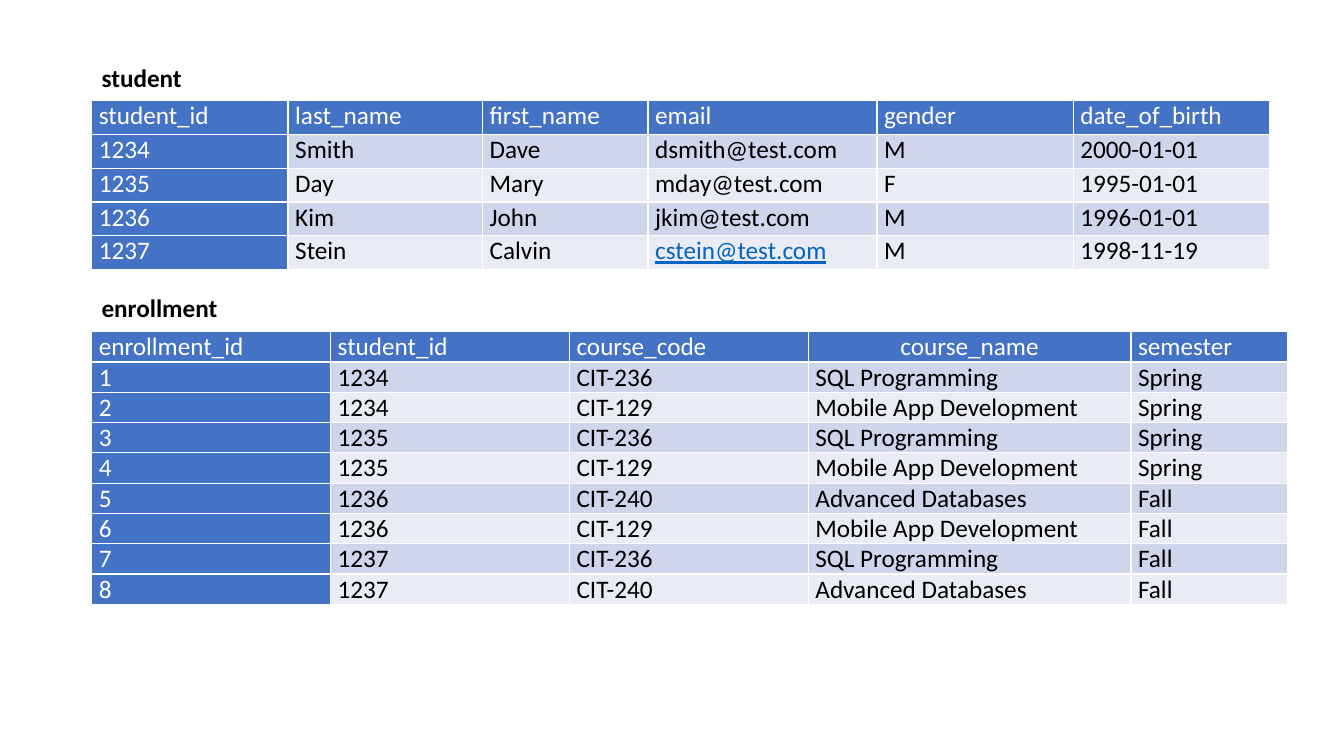
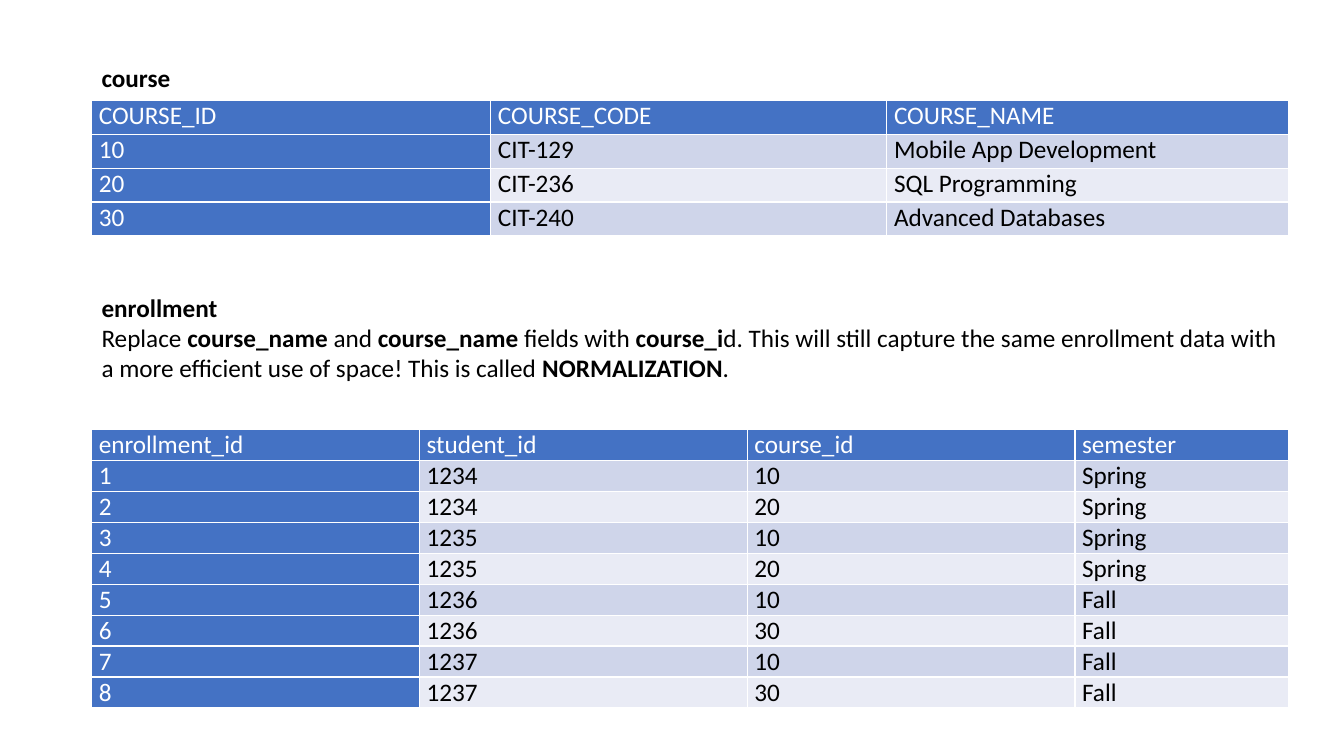
from lxml import etree
from pptx import Presentation
from pptx import util as u
from pptx.dml.color import RGBColor
from pptx.enum import text
from pptx.oxml import ns

BLUE, WHITE, BLACK, LINK = "4472C4", "FFFFFF", "000000", "0563C1"
BANDS = ["CFD5EA", "E9EBF5"]
LEFT = u.Cm(2.31)


def write(frame, content, color=BLACK, bold=False, underline=False, align=text.PP_ALIGN.LEFT):
    for number, line in enumerate(content.split("\n")):
        paragraph = frame.paragraphs[0] if number == 0 else frame.add_paragraph()
        paragraph.alignment = align
        for part, words in enumerate(line.split("*")):
            if words:
                run = paragraph.add_run()
                run.text = words
                run.font.name = "Calibri"
                run.font.size = u.Pt(18)
                run.font.bold = bold or part % 2 == 1
                run.font.underline = underline
                run.font.color.rgb = RGBColor.from_string(color)


def fill_cell(cell, color):
    cell.margin_left = cell.margin_right = u.Cm(0.18)
    cell.margin_top = cell.margin_bottom = 0
    properties = cell._tc.get_or_add_tcPr()
    for side in ("lnL", "lnR", "lnT", "lnB"):
        border = etree.SubElement(properties, ns.qn(f"a:{side}"), w=str(u.Pt(1)))
        paint = etree.SubElement(border, ns.qn("a:solidFill"))
        etree.SubElement(paint, ns.qn("a:srgbClr"), val=WHITE)
    cell.fill.solid()
    cell.fill.fore_color.rgb = RGBColor.from_string(color)


students = [
    ["student_id", "last_name", "first_name", "email", "gender", "date_of_birth"],
    ["1234", "Smith", "Dave", "dsmith@test.com", "M", "2000-01-01"],
    ["1235", "Day", "Mary", "mday@test.com", "F", "1995-01-01"],
    ["1236", "Kim", "John", "jkim@test.com", "M", "1996-01-01"],
    ["1237", "Stein", "Calvin", "cstein@test.com", "M", "1998-11-19"],
]
enrollments = [
    ["enrollment_id", "student_id", "course_code", "course_name", "semester"],
    ["1", "1234", "CIT-236", "SQL Programming", "Spring"],
    ["2", "1234", "CIT-129", "Mobile App Development", "Spring"],
    ["3", "1235", "CIT-236", "SQL Programming", "Spring"],
    ["4", "1235", "CIT-129", "Mobile App Development", "Spring"],
    ["5", "1236", "CIT-240", "Advanced Databases", "Fall"],
    ["6", "1236", "CIT-129", "Mobile App Development", "Fall"],
    ["7", "1237", "CIT-236", "SQL Programming", "Fall"],
    ["8", "1237", "CIT-240", "Advanced Databases", "Fall"],
]
courses = [
    ["COURSE_ID", "COURSE_CODE", "COURSE_NAME"],
    ["10", "CIT-129", "Mobile App Development"],
    ["20", "CIT-236", "SQL Programming"],
    ["30", "CIT-240", "Advanced Databases"],
]
normalized = [
    ["enrollment_id", "student_id", "course_id", "semester"],
    ["1", "1234", "10", "Spring"],
    ["2", "1234", "20", "Spring"],
    ["3", "1235", "10", "Spring"],
    ["4", "1235", "20", "Spring"],
    ["5", "1236", "10", "Fall"],
    ["6", "1236", "30", "Fall"],
    ["7", "1237", "10", "Fall"],
    ["8", "1237", "30", "Fall"],
]
normalization = (
    "*enrollment*\n"
    "Replace *course_name *and *course_name *fields with *course_i*d. "
    "This will still capture the same enrollment data with\n"
    "a more efficient use of space! This is called *NORMALIZATION*."
)

pages = [
    [
        ("*student*", 1.45, 2.54, 1.03, students, 2.54, 0.85, [4.95, 4.9, 4.17, 5.77, 4.95, 4.95]),
        ("*enrollment*", 7.24, 3.45, 1.8, enrollments, 8.36, 0.76, [6.02, 6.02, 6.02, 8.13, 3.94]),
    ],
    [
        ("*course*", 1.45, 2.26, 1.03, courses, 2.54, 0.85, [10.06, 9.98, 10.13]),
        (normalization, 7.24, 30.15, 2.57, normalized, 10.82, 0.78, [8.26, 8.26, 8.26, 5.38]),
    ],
]

deck = Presentation()
deck.slide_width, deck.slide_height = u.Cm(33.87), u.Cm(19.05)

for page in pages:
    slide = deck.slides.add_slide(deck.slide_layouts[6])
    for caption, caption_top, caption_width, caption_height, records, top, row_height, widths in page:
        grid = slide.shapes.add_table(
            len(records), len(widths), LEFT, u.Cm(top),
            u.Cm(sum(widths)), u.Cm(row_height * len(records)),
        ).table
        for column, width in zip(grid.columns, widths):
            column.width = u.Cm(width)
        for r, record in enumerate(records):
            grid.rows[r].height = u.Cm(row_height)
            for c, value in enumerate(record):
                key = r == 0 or c == 0
                linked = value == "cstein@test.com"
                cell = grid.cell(r, c)
                fill_cell(cell, BLUE if key else BANDS[(r - 1) % 2])
                write(
                    cell.text_frame, value,
                    color=WHITE if key else LINK if linked else BLACK,
                    underline=linked,
                    align=text.PP_ALIGN.CENTER if value == "course_name" else text.PP_ALIGN.LEFT,
                )
        label = slide.shapes.add_textbox(
            LEFT, u.Cm(caption_top), u.Cm(caption_width), u.Cm(caption_height)
        ).text_frame
        label.word_wrap = False
        write(label, caption)

deck.save("out.pptx")
